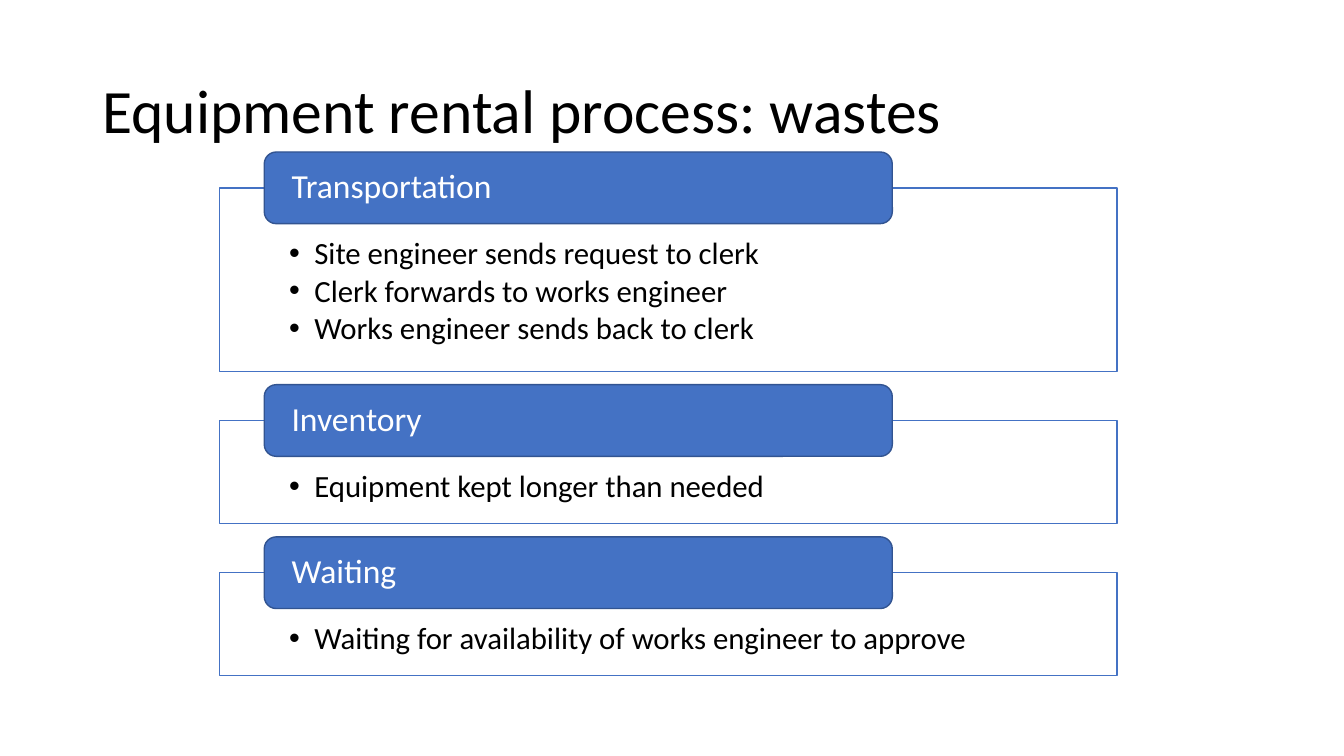
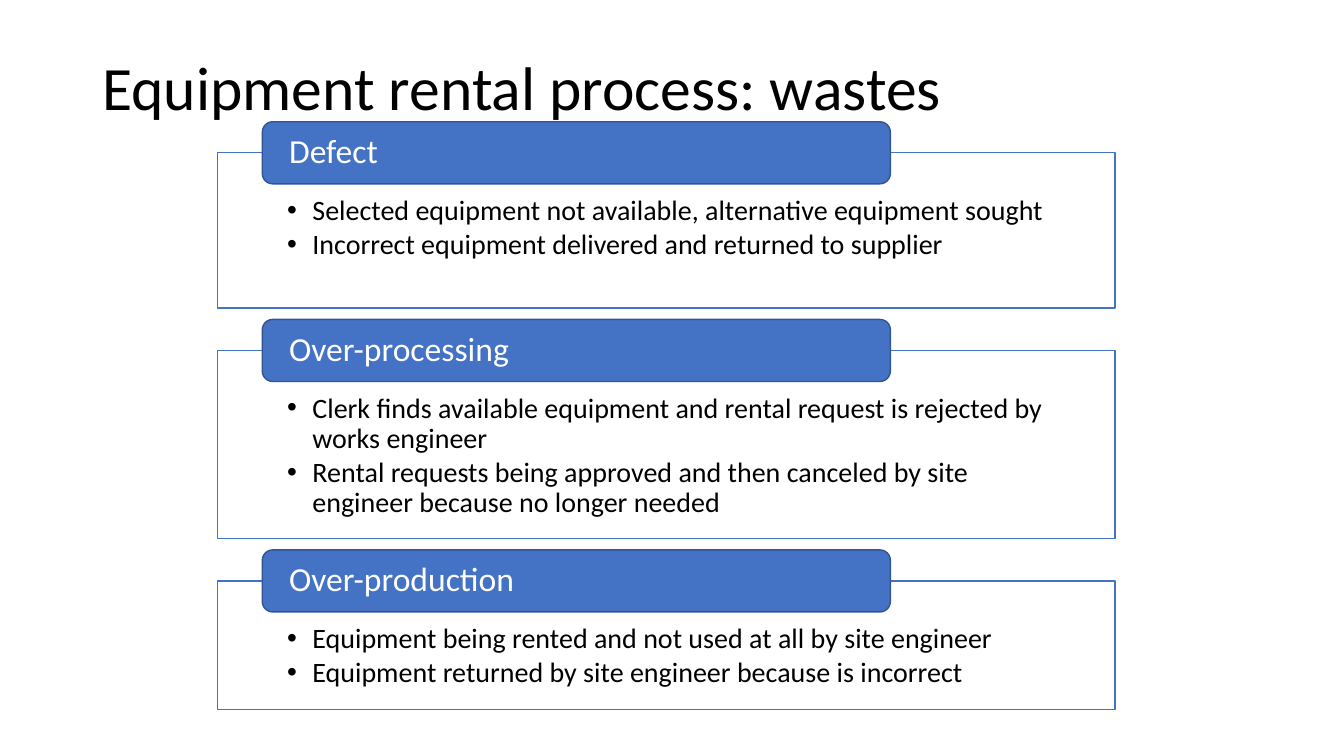
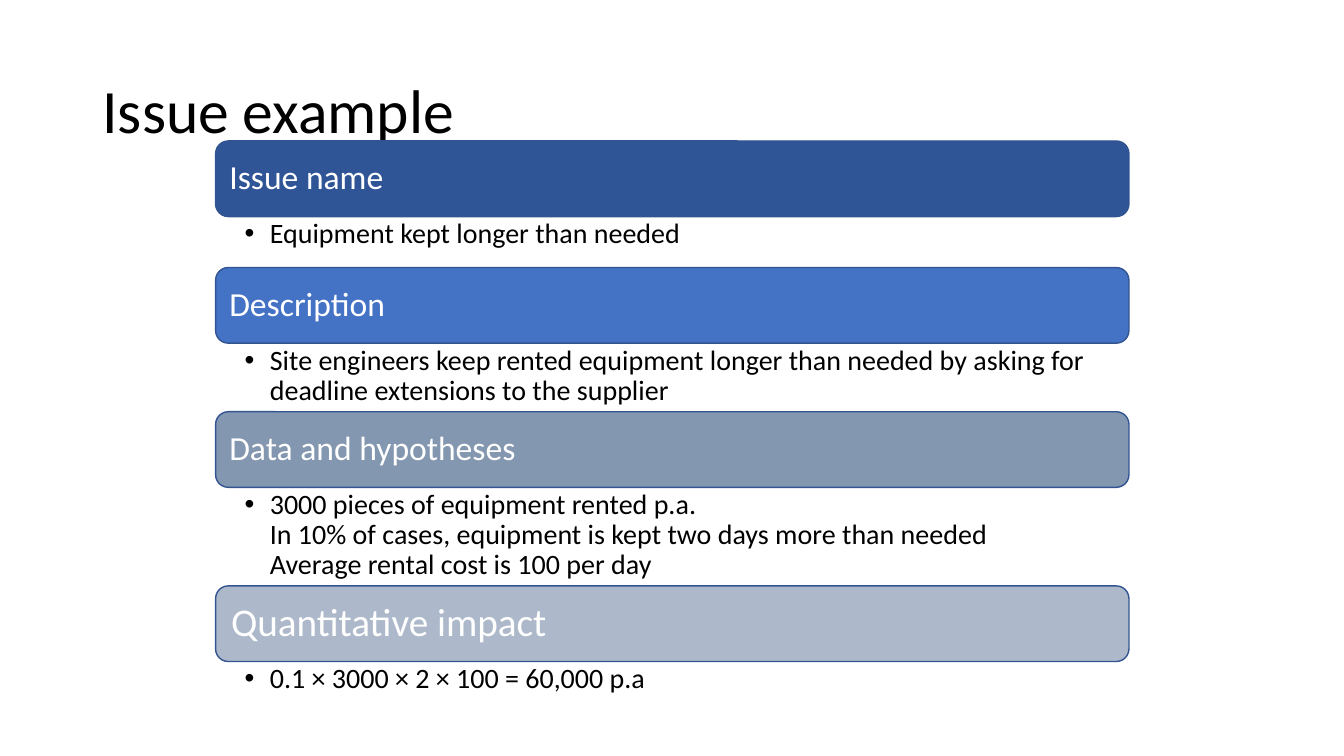
from dataclasses import dataclass

from lxml import etree
from pptx import Presentation
from pptx.dml.color import RGBColor
from pptx.enum import shapes, text
from pptx.oxml import ns
from pptx.util import Pt


@dataclass(frozen=True)
class Theme:
    font: str = "Calibri"
    ink: str = "000000"
    paper: str = "FFFFFF"
    blue: str = "4472C4"
    outline: str = "325491"
    navy: str = "2F5597"
    slate: str = "8497B0"
    mist: str = "ADB9CA"
    title_size: float = 44
    heading_size: float = 24
    large_heading_size: float = 28
    list_size: float = 20
    large_list_size: float = 22


theme = Theme()
SHAPE = shapes.MSO_SHAPE
BULLET_INDENT = 18


def add_box(page, preset, frame, fill, line):
    box = page.shapes.add_shape(preset, *[Pt(length) for length in frame])
    box.shadow.inherit = False
    box.fill.solid()
    box.fill.fore_color.rgb = RGBColor.from_string(fill)
    box.line.color.rgb = RGBColor.from_string(line)
    box.line.width = Pt(1)
    return box


def write(box, lines, size, color, insets, middle=True, bullets=False):
    """Fill a shape with left-aligned paragraphs; insets run left, top, right, bottom."""
    frame = box.text_frame
    frame.word_wrap = True
    frame.auto_size = text.MSO_AUTO_SIZE.NONE
    frame.vertical_anchor = text.MSO_ANCHOR.MIDDLE if middle else text.MSO_ANCHOR.TOP
    frame.margin_left, frame.margin_top, frame.margin_right, frame.margin_bottom = map(Pt, insets)
    for number, line in enumerate(lines):
        para = frame.add_paragraph() if number else frame.paragraphs[0]
        para.text = line
        if bullets:
            properties = para._p.get_or_add_pPr()
            properties.set("marL", str(Pt(BULLET_INDENT)))
            properties.set("indent", str(-Pt(BULLET_INDENT)))
            etree.SubElement(properties, ns.qn("a:buFont"), typeface="Arial")
            etree.SubElement(properties, ns.qn("a:buChar"), char="•")
            para.space_after = Pt(3)
        para.alignment = text.PP_ALIGN.LEFT
        para.line_spacing = 0.9
        for span in para.runs:
            span.font.name = theme.font
            span.font.size = Pt(size)
            span.font.color.rgb = RGBColor.from_string(color)


deck = Presentation()
deck.slide_width, deck.slide_height = Pt(960), Pt(540)
title_only = deck.slide_layouts[5]

# Titles: text and height of the title box
pages = []
for title_text, title_height in [
    ("Equipment rental process: wastes", 104.4),
    ("Equipment rental process: wastes", 71.4),
    ("Issue example", 104.4),
]:
    page = deck.slides.add_slide(title_only)
    title = page.shapes.title
    title.left, title.top, title.width, title.height = Pt(66), Pt(28.75), Pt(828), Pt(title_height)
    write(title, [title_text], theme.title_size, theme.ink, (7.2, 3.6, 7.2, 3.6))
    pages.append(page)

# Waste slides: each tab straddles the top edge of its panel
PANEL_WIDTH, TAB_OFFSET, TAB_WIDTH = 641, 32, 448.6
waste_slides = [
    dict(left=156.8, top=108.6, tab_height=51.2, gap=9.6, size=theme.large_list_size, wastes=[
        ("Transportation", 131, ["Site engineer sends request to clerk",
                                 "Clerk forwards to works engineer",
                                 "Works engineer sends back to clerk"]),
        ("Inventory", 73.5, ["Equipment kept longer than needed"]),
        ("Waiting", 73.5, ["Waiting for availability of works engineer to approve"]),
    ]),
    dict(left=155.4, top=87, tab_height=44.3, gap=8, size=theme.list_size, wastes=[
        ("Defect", 111, ["Selected equipment not available, alternative equipment sought",
                         "Incorrect equipment delivered and returned to supplier"]),
        ("Over-processing", 134.5, [
            "Clerk finds available equipment and rental request is rejected by works engineer",
            "Rental requests being approved and then canceled by site engineer because no longer needed"]),
        ("Over-production", 92, ["Equipment being rented and not used at all by site engineer",
                                 "Equipment returned by site engineer because is incorrect"]),
    ]),
]
for page, group in zip(pages, waste_slides):
    left, tab_top, tab_height = group["left"], group["top"], group["tab_height"]
    for name, panel_height, examples in group["wastes"]:
        panel_top = tab_top + tab_height / 2
        panel = add_box(page, SHAPE.RECTANGLE, (left, panel_top, PANEL_WIDTH, panel_height),
                        theme.paper, theme.blue)
        write(panel, examples, group["size"], theme.ink, (49.75, 0.7 * tab_height, 49.75, 12),
              middle=False, bullets=True)
        tab = add_box(page, SHAPE.ROUNDED_RECTANGLE,
                      (left + TAB_OFFSET, tab_top, TAB_WIDTH, tab_height), theme.blue, theme.outline)
        write(tab, [name], theme.heading_size, theme.paper, (17, 0, 17, 0))
        tab_top = panel_top + panel_height + group["gap"]

# Issue slide: bars and lists stacked without gaps
ISSUE_LEFT, ISSUE_WIDTH, BAR_HEIGHT = 154, 652.4, 54
issue_page = pages[2]
bar_top = 100.7
for name, fill, heading_size, list_height, detail in [
    ("Issue name", theme.navy, theme.heading_size, 36.4, "Equipment kept longer than needed"),
    ("Description", theme.blue, theme.heading_size, 49,
     "Site engineers keep rented equipment longer than needed by asking for "
     "deadline extensions to the supplier"),
    ("Data and hypotheses", theme.slate, theme.heading_size, 70.4,
     "3000 pieces of equipment rented p.a.\n"
     "In 10% of cases, equipment is kept two days more than needed\n"
     "Average rental cost is 100 per day"),
    ("Quantitative impact", theme.mist, theme.large_heading_size, 36.4,
     "0.1 × 3000 × 2 × 100 = 60,000 p.a"),
]:
    bar = add_box(issue_page, SHAPE.ROUNDED_RECTANGLE,
                  (ISSUE_LEFT, bar_top, ISSUE_WIDTH, BAR_HEIGHT), fill, theme.outline)
    write(bar, [name], heading_size, theme.paper, [0.3 * heading_size] * 4)
    list_top = bar_top + BAR_HEIGHT
    details = issue_page.shapes.add_textbox(Pt(ISSUE_LEFT), Pt(list_top), Pt(ISSUE_WIDTH), Pt(list_height))
    write(details, [detail], theme.list_size, theme.ink, (20.75, 2, 11.5, 2), middle=False, bullets=True)
    bar_top = list_top + list_height

deck.save("out.pptx")
